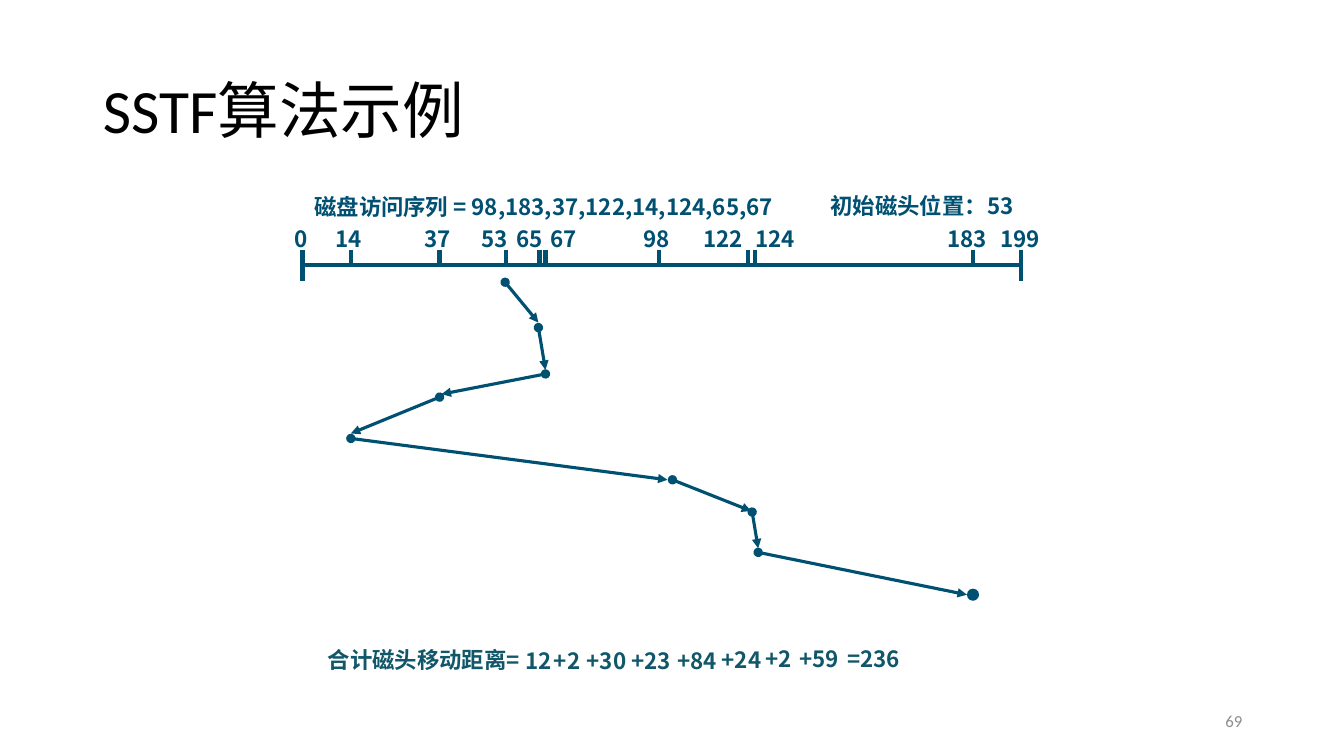
import pptx
import pptx.util
import pptx.dml.color
import pptx.enum.shapes
import pptx.enum.text
import pptx.oxml
import pptx.oxml.ns

Inches = pptx.util.Inches
Pt = pptx.util.Pt
ALIGN = pptx.enum.text.PP_ALIGN
ANCHOR = pptx.enum.text.MSO_ANCHOR
FIT = pptx.enum.text.MSO_AUTO_SIZE
BLUE, TEAL = "005072", "11576A"
HAN = "Noto Sans CJK SC"


def write(shape, text, size=16, font=HAN, color=BLUE, bold=True,
          align=ALIGN.LEFT, anchor=ANCHOR.TOP, wrap=False, fit=FIT.SHAPE_TO_FIT_TEXT):
    frame = shape.text_frame
    frame.text = text
    frame.word_wrap = wrap
    frame.auto_size = fit
    frame.vertical_anchor = anchor
    para = frame.paragraphs[0]
    para.alignment = align
    for run in para.runs:
        run.font.size = Pt(size)
        run.font.name = font
        run.font.bold = bold
        run.font.color.rgb = pptx.dml.color.RGBColor.from_string(color)
        east = pptx.oxml.parse_xml(
            f'<a:ea {pptx.oxml.ns.nsdecls("a")} typeface="{HAN}"/>')
        run.font._element.find(pptx.oxml.ns.qn("a:latin")).addnext(east)
    return para


def draw(x1, y1, x2, y2, width=3, arrow=False):
    line = slide.shapes.add_connector(
        pptx.enum.shapes.MSO_CONNECTOR.STRAIGHT,
        Inches(x1), Inches(y1), Inches(x2), Inches(y2))
    line.line.width = Pt(width)
    line.line.color.rgb = pptx.dml.color.RGBColor.from_string(BLUE)
    names = pptx.oxml.ns.nsdecls("a")
    if arrow:
        for end, kind in (("head", "oval"), ("tail", "triangle")):
            line.line._get_or_add_ln().append(
                pptx.oxml.parse_xml(f'<a:{end}End {names} type="{kind}"/>'))
    line._element.spPr.append(pptx.oxml.parse_xml(f"<a:effectLst {names}/>"))


deck = pptx.Presentation()
deck.slide_width = Inches(13.33)
deck.slide_height = Inches(7.5)
slide = deck.slides.add_slide(deck.slide_layouts[5])

# Title
title = slide.shapes.title
title.left, title.top = Inches(0.92), Inches(0.4)
title.width, title.height = Inches(11.5), Inches(1.45)
para = write(title, "SSTF算法示例", 44, "Calibri", "000000", False,
             anchor=ANCHOR.MIDDLE, wrap=True, fit=FIT.NONE)
para.line_spacing = 0.9

# Request queue and start position
heads = [
    ("磁盘访问序列 = 98,183,37,122,14,124,65,67", 3.02, 1.87, 4.94),
    ("初始磁头位置：53", 8.14, 1.86, 2.11),
]
for text, x, y, w in heads:
    box = slide.shapes.add_textbox(Inches(x), Inches(y), Inches(w), Inches(0.37))
    write(box, text)

# Track axis: number, label left, tick position
tracks = [
    ("0", 2.82, 3), ("14", 3.23, 3.48), ("37", 4.11, 4.36), ("53", 4.68, 5.02),
    ("65", 5.02, 5.35), ("67", 5.36, 5.41), ("98", 6.28, 6.54), ("122", 6.88, 7.42),
    ("124", 7.39, 7.49), ("183", 9.3, 9.65), ("199", 9.82, 10.13),
]
for text, x, tick in tracks:
    box = slide.shapes.add_textbox(
        Inches(x), Inches(2.18), Inches(0.2 + 0.14 * len(text)), Inches(0.37))
    write(box, text)
    draw(tick, 2.48, tick, 2.79 if text in ("0", "199") else 2.63)
draw(10.13, 2.63, 3, 2.63)

# Head moves
moves = [
    (5.01, 2.8, 5.34, 3.2), (5.34, 3.25, 5.41, 3.67),
    (5.41, 3.71, 4.38, 3.91), (4.36, 3.94, 3.48, 4.3),
    (3.48, 4.35, 6.62, 4.76), (6.67, 4.76, 7.45, 5.07),
    (7.46, 5.08, 7.52, 5.44), (7.52, 5.48, 9.59, 5.9),
]
for move in moves:
    draw(*move, width=2.25, arrow=True)

# Last stop
dot = slide.shapes.add_shape(
    pptx.enum.shapes.MSO_SHAPE.OVAL,
    Inches(9.59), Inches(5.84), Inches(0.12), Inches(0.12))
dot.shadow.inherit = False
dot.fill.solid()
dot.fill.fore_color.rgb = pptx.dml.color.RGBColor.from_string(BLUE)
dot.line.fill.background()

# Total distance
terms = [
    ("合计磁头移动距离=", 3.12, 6.36, 2.17), ("12", 5.1, 6.37, 0.48),
    ("+2", 5.37, 6.37, 0.51), ("+30", 5.69, 6.37, 0.65),
    ("+23", 6.13, 6.37, 0.65), ("+84", 6.59, 6.37, 0.65),
    ("+24", 7.03, 6.36, 0.65), ("+2", 7.47, 6.35, 0.51),
    ("+59", 7.8, 6.35, 0.65), ("=236", 8.27, 6.35, 0.79),
]
for text, x, y, w in terms:
    box = slide.shapes.add_textbox(Inches(x), Inches(y), Inches(w), Inches(0.37))
    write(box, text, color=TEAL, align=ALIGN.CENTER, anchor=ANCHOR.MIDDLE)

# Page number
box = slide.shapes.add_textbox(Inches(9.42), Inches(6.95), Inches(3), Inches(0.4))
write(box, "69", 12, "Calibri", "8C8C8C", False, ALIGN.RIGHT, ANCHOR.MIDDLE,
      True, FIT.NONE)

deck.save("out.pptx")
